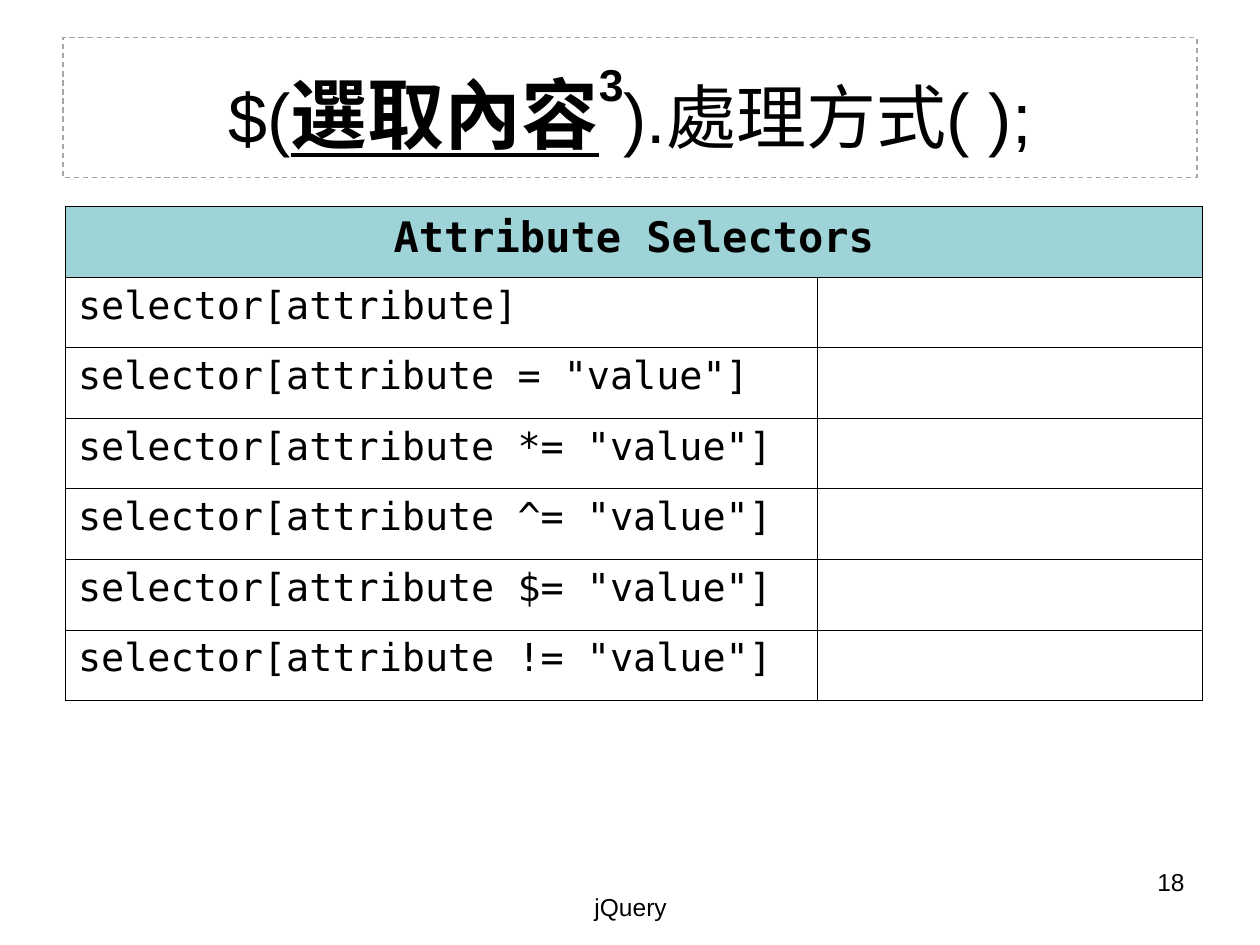
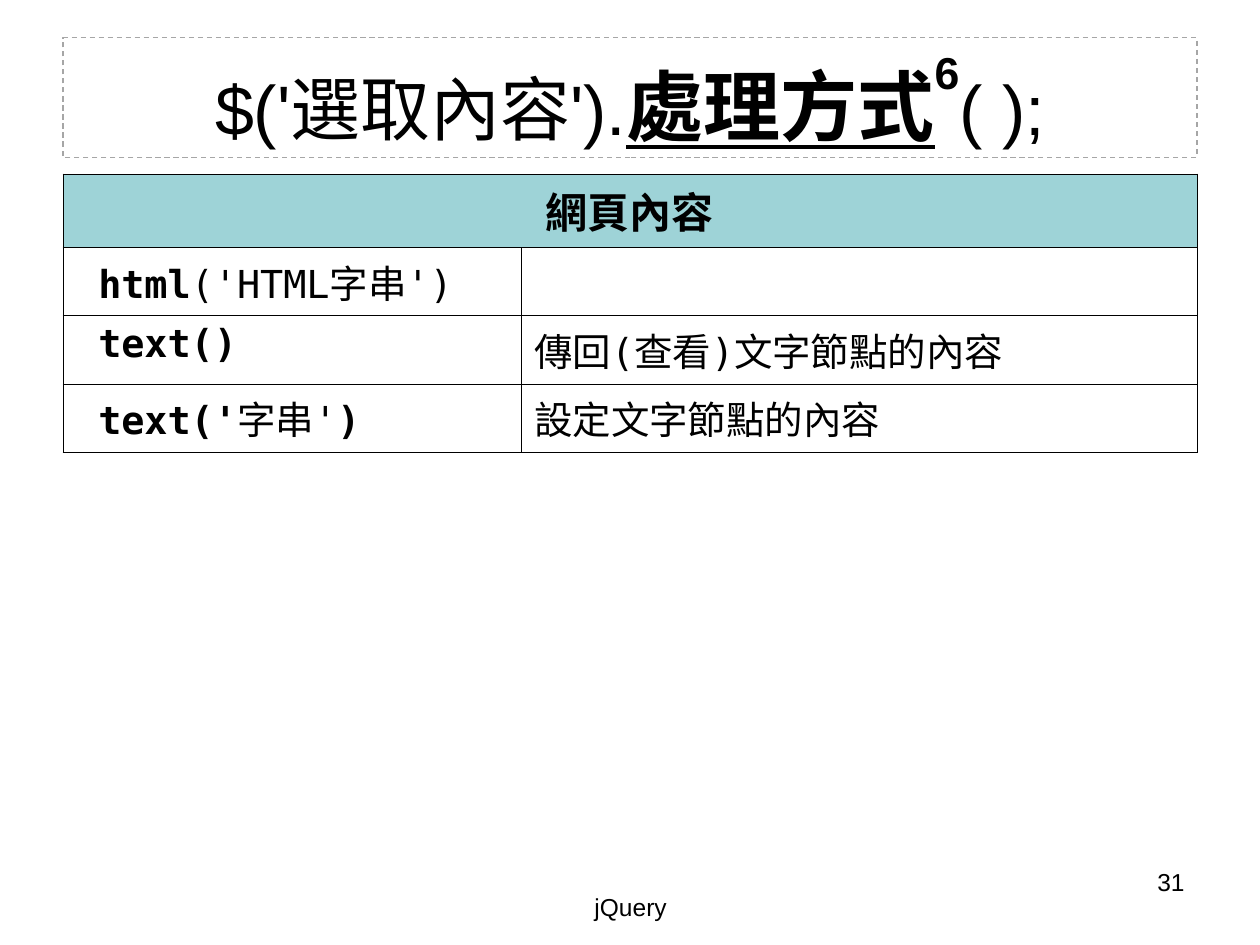
from dataclasses import dataclass

from lxml import etree
from pptx import Presentation
from pptx.dml.color import RGBColor
from pptx.enum.dml import MSO_LINE
from pptx.enum.text import MSO_ANCHOR, MSO_AUTO_SIZE, PP_ALIGN
from pptx.oxml.ns import qn
from pptx.util import Inches, Pt

LEFT, CENTER, RIGHT = PP_ALIGN.LEFT, PP_ALIGN.CENTER, PP_ALIGN.RIGHT
MIDDLE = MSO_ANCHOR.MIDDLE
NO_AUTOFIT = MSO_AUTO_SIZE.NONE
DASH = MSO_LINE.DASH

COLORS = {"text": "000000", "frame": "A6A6A6", "band": "9ED3D7", "paper": "FFFFFF"}
TITLE_FONT, CODE_FONT = "Arial", "DejaVu Sans Mono"
TITLE_ONLY_LAYOUT = 5
BORDER_SIDES = ("lnL", "lnR", "lnT", "lnB")


@dataclass(frozen=True)
class Span:
    """A stretch of text with one format."""

    text: str
    size: float = 22
    bold: bool = False
    underline: bool = False
    raised: int = 0


@dataclass(frozen=True)
class SelectorTable:
    """A two-column table under one merged heading."""

    left: float
    top: float
    columns: tuple[float, float]
    heading: str
    heading_height: float
    row_height: float
    rows: tuple[tuple[tuple[Span, ...], ...], ...]
    indent: float = 0.1


@dataclass(frozen=True)
class Page:
    """The content of one slide."""

    number: int
    title_height: float
    title: tuple[Span, ...]
    table: SelectorTable


def topic(text: str, number: str, raised: int) -> tuple[Span, Span]:
    """Return the emphasised part of a title and its raised number."""
    return (Span(text, 44, bold=True, underline=True),
            Span(number, 44, bold=True, raised=raised))


ATTRIBUTE_TESTS = ("", ' = "value"', ' *= "value"', ' ^= "value"',
                   ' $= "value"', ' != "value"')

PAGES = (
    Page(
        number=18,
        title_height=1.11,
        title=(Span("$(", 40), *topic("選取內容", "3", 54),
               Span(").處理方式( );", 40)),
        table=SelectorTable(
            0.52, 1.64, (5.97, 3.05), "Attribute Selectors", 0.56, 0.56,
            tuple(((Span(f"selector[attribute{test}]"),), ())
                  for test in ATTRIBUTE_TESTS),
        ),
    ),
    Page(
        number=31,
        title_height=0.95,
        title=(Span("$('選取內容').", 40), *topic("處理方式", "6", 60),
               Span("( );", 40)),
        table=SelectorTable(
            0.5, 1.38, (3.64, 5.36), "網頁內容", 0.58, 0.54,
            (
                ((Span("html", bold=True), Span("('HTML字串')")), ()),
                ((Span("text()", bold=True),),
                 (Span("傳回(查看)文字節點的內容"),)),
                ((Span("text('", bold=True), Span("字串'"), Span(")", bold=True)),
                 (Span("設定文字節點的內容"),)),
            ),
            indent=0.28,
        ),
    ),
)


def color(name: str) -> RGBColor:
    """Return a named colour."""
    return RGBColor.from_string(COLORS[name])


def add_text(para, text: str, *, font: str, size: float, bold: bool = False,
             underline: bool = False, raised: int = 0) -> None:
    """Append formatted text to a paragraph."""
    span = para.add_run()
    span.text = text
    span.font.name = font
    span.font.size = Pt(size)
    span.font.bold = bold
    span.font.underline = underline
    span.font.color.rgb = color("text")
    if raised:
        span.font._element.set("baseline", str(raised * 1000))


def write_spans(frame, spans: tuple[Span, ...], font: str, align=LEFT) -> None:
    """Write spans into the first paragraph of a text frame."""
    para = frame.paragraphs[0]
    para.alignment = align
    for span in spans:
        add_text(para, span.text, font=font, size=span.size, bold=span.bold,
                 underline=span.underline, raised=span.raised)


def set_title(slide, page: Page) -> None:
    """Place the dashed title frame and its text."""
    title = slide.shapes.title
    title.left, title.top = Inches(0.5), Inches(0.3)
    title.width, title.height = Inches(9), Inches(page.title_height)
    title.line.color.rgb = color("frame")
    title.line.width = Pt(0.75)
    title.line.dash_style = DASH
    title.text_frame.auto_size = NO_AUTOFIT
    title.text_frame.vertical_anchor = MIDDLE
    write_spans(title.text_frame, page.title, TITLE_FONT, CENTER)


def style_cell(cell, fill: str) -> None:
    """Give a cell thin borders on all sides and a fill."""
    properties = cell._tc.get_or_add_tcPr()
    for side in BORDER_SIDES:
        line = etree.SubElement(properties, qn(f"a:{side}"), w=str(Pt(0.45)))
        solid = etree.SubElement(line, qn("a:solidFill"))
        etree.SubElement(solid, qn("a:srgbClr"), val=COLORS["text"])
    cell.fill.solid()
    cell.fill.fore_color.rgb = color(fill)


def add_selector_table(slide, content: SelectorTable) -> None:
    """Draw a table with its merged heading and rows."""
    heights = [content.heading_height] + [content.row_height] * len(content.rows)
    table = slide.shapes.add_table(
        len(heights), len(content.columns), Inches(content.left),
        Inches(content.top), Inches(sum(content.columns)), Inches(sum(heights)),
    ).table
    table.first_row = table.horz_banding = False
    for column, width in zip(table.columns, content.columns):
        column.width = Inches(width)
    for index, height in enumerate(heights):
        table.rows[index].height = Inches(height)
        for cell in table.rows[index].cells:
            style_cell(cell, "paper" if index else "band")
    heading = table.cell(0, 0)
    heading.merge(table.cell(0, 1))
    write_spans(heading.text_frame, (Span(content.heading, 24, bold=True),),
                CODE_FONT, CENTER)
    for row_index, row in enumerate(content.rows, start=1):
        table.cell(row_index, 0).margin_left = Inches(content.indent)
        for column_index, spans in enumerate(row):
            write_spans(table.cell(row_index, column_index).text_frame, spans,
                        CODE_FONT)


def add_footer(slide, text: str, left: float, top: float, width: float,
               height: float, align) -> None:
    """Add one small text at the foot of a slide."""
    box = slide.shapes.add_textbox(Inches(left), Inches(top), Inches(width),
                                   Inches(height))
    box.text_frame.word_wrap = True
    write_spans(box.text_frame, (Span(text, 14),), TITLE_FONT, align)


def main() -> None:
    """Build the slides and save them."""
    deck = Presentation()
    deck.slide_width, deck.slide_height = Inches(10), Inches(7.5)
    for page in PAGES:
        slide = deck.slides.add_slide(deck.slide_layouts[TITLE_ONLY_LAYOUT])
        set_title(slide, page)
        add_selector_table(slide, page.table)
        add_footer(slide, str(page.number), 7.17, 6.83, 2.33, 0.52, RIGHT)
        add_footer(slide, "jQuery", 3.42, 7.03, 3.17, 0.5, CENTER)
    deck.save("out.pptx")


if __name__ == "__main__":
    main()
